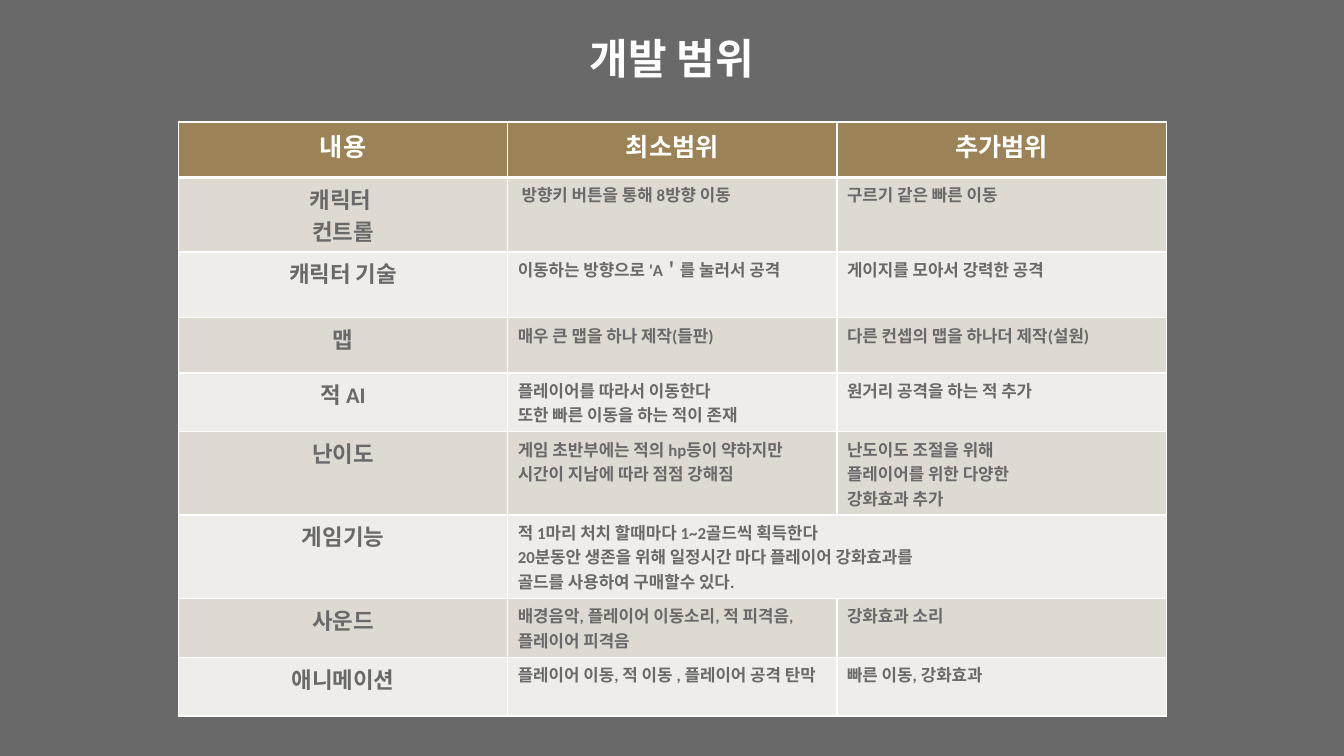
from lxml import etree
from pptx import Presentation
from pptx import util as u
from pptx.dml import color
from pptx.enum import text as t
from pptx.oxml import ns

COLUMNS, ROWS = 133.33, 75  # grid of the slide
WHITE, GRAY, GOLD = "FFFFFF", "696969", "9B8357"
BANDS = ("DED9D1", "EFEDEA")

HEADINGS = ("내용", "최소범위", "추가범위")
# Row height in grid rows, topic, minimum scope, extra scope (None: merged)
SCOPES = (
    (5.9, "캐릭터 \n컨트롤", " 방향키 버튼을 통해 8방향 이동", "구르기 같은 빠른 이동"),
    (6.5, "캐릭터 기술", "이동하는 방향으로 'A＇를 눌러서 공격", "게이지를 모아서 강력한 공격"),
    (5.5, "맵", "매우 큰 맵을 하나 제작(들판)", "다른 컨셉의 맵을 하나더 제작(설원)"),
    (5.5, "적 AI", "플레이어를 따라서 이동한다\n또한 빠른 이동을 하는 적이 존재",
     "원거리 공격을 하는 적 추가"),
    (6.5, "난이도", "게임 초반부에는 적의 hp등이 약하지만 시간이 지남에 따라 점점 강해짐",
     "난도이도 조절을 위해\n플레이어를 위한 다양한\n강화효과 추가"),
    (7.6, "게임기능", "적 1마리 처치 할때마다 1~2골드씩 획득한다\n"
     "20분동안 생존을 위해 일정시간 마다 플레이어 강화효과를\n"
     "골드를 사용하여 구매할수 있다.", None),
    (5.5, "사운드", "배경음악, 플레이어 이동소리, 적 피격음, 플레이어 피격음", "강화효과 소리"),
    (5.5, "애니메이션", "플레이어 이동, 적 이동 , 플레이어 공격 탄막", "빠른 이동, 강화효과"),
)


def rgb(value):
    return color.RGBColor.from_string(value)


def write(frame, content, size=12, ink=GRAY, centered=False):
    """Fill a text frame, one paragraph per line of content."""
    frame.word_wrap = True
    for i, line in enumerate(content.split("\n")):
        paragraph = frame.paragraphs[0] if i == 0 else frame.add_paragraph()
        paragraph.alignment = t.PP_ALIGN.CENTER if centered else t.PP_ALIGN.LEFT
        run = paragraph.add_run()
        run.text = line
        font = run.font
        font.name, font.size, font.bold = "Calibri", u.Pt(size), True
        font.color.rgb = rgb(ink)


def border(cell, **widths):
    """Draw white cell edges; widths are points keyed L, R, T, B."""
    properties = cell._tc.get_or_add_tcPr()
    for side in "LRTB":
        line = etree.SubElement(properties, ns.qn(f"a:ln{side}"),
                                w=str(u.Pt(widths.get(side, 1))))
        fill = etree.SubElement(line, ns.qn("a:solidFill"))
        etree.SubElement(fill, ns.qn("a:srgbClr"), val=WHITE)


class Deck:
    def __init__(self):
        self.deck = Presentation()
        self.deck.slide_width, self.deck.slide_height = u.Inches(13.33), u.Inches(7.5)
        self.slide = self.deck.slides.add_slide(self.deck.slide_layouts[5])
        background = self.slide.background.fill
        background.solid()
        background.fore_color.rgb = rgb(GRAY)

    def x(self, columns):
        return round(self.deck.slide_width * columns / COLUMNS)

    def y(self, rows):
        return round(self.deck.slide_height * rows / ROWS)

    def title(self, content, left, top, width, height):
        heading = self.slide.shapes.title
        heading.left, heading.top = self.x(left), self.y(top)
        heading.width, heading.height = self.x(width), self.y(height)
        heading.text_frame.vertical_anchor = t.MSO_ANCHOR.MIDDLE
        write(heading.text_frame, content, size=30, ink=WHITE, centered=True)

    def cell(self, cell, content, fill, edges, **style):
        border(cell, **edges)
        cell.fill.solid()
        cell.fill.fore_color.rgb = rgb(fill)
        if content:
            write(cell.text_frame, content, **style)

    def scope_table(self, left, top, width, header_height):
        heights = [header_height] + [scope[0] for scope in SCOPES]
        table = self.slide.shapes.add_table(
            len(heights), len(HEADINGS), self.x(left), self.y(top),
            self.x(width), self.y(sum(heights))).table
        table.first_row = table.horz_banding = False
        for row, height in zip(table.rows, heights):
            row.height = self.y(height)
        for column, heading in enumerate(HEADINGS):
            self.cell(table.cell(0, column), heading, GOLD, {"B": 3},
                      size=18, ink=WHITE, centered=True)
        for row, (_, *contents) in enumerate(SCOPES, 1):
            edges = {"T": 3} if row == 1 else {}
            for column, content in enumerate(contents):
                topic = column == 0
                self.cell(table.cell(row, column), content, BANDS[(row - 1) % 2], edges,
                          size=16 if topic else 12, centered=topic)
            if contents[-1] is None:
                table.cell(row, 1).merge(table.cell(row, 2))


def main():
    deck = Deck()
    deck.title("개발 범위", 49.7, 2.7, 33.9, 6.1)
    deck.scope_table(17.7, 12.1, 98, header_height=5.5)
    deck.deck.save("out.pptx")


if __name__ == "__main__":
    main()
